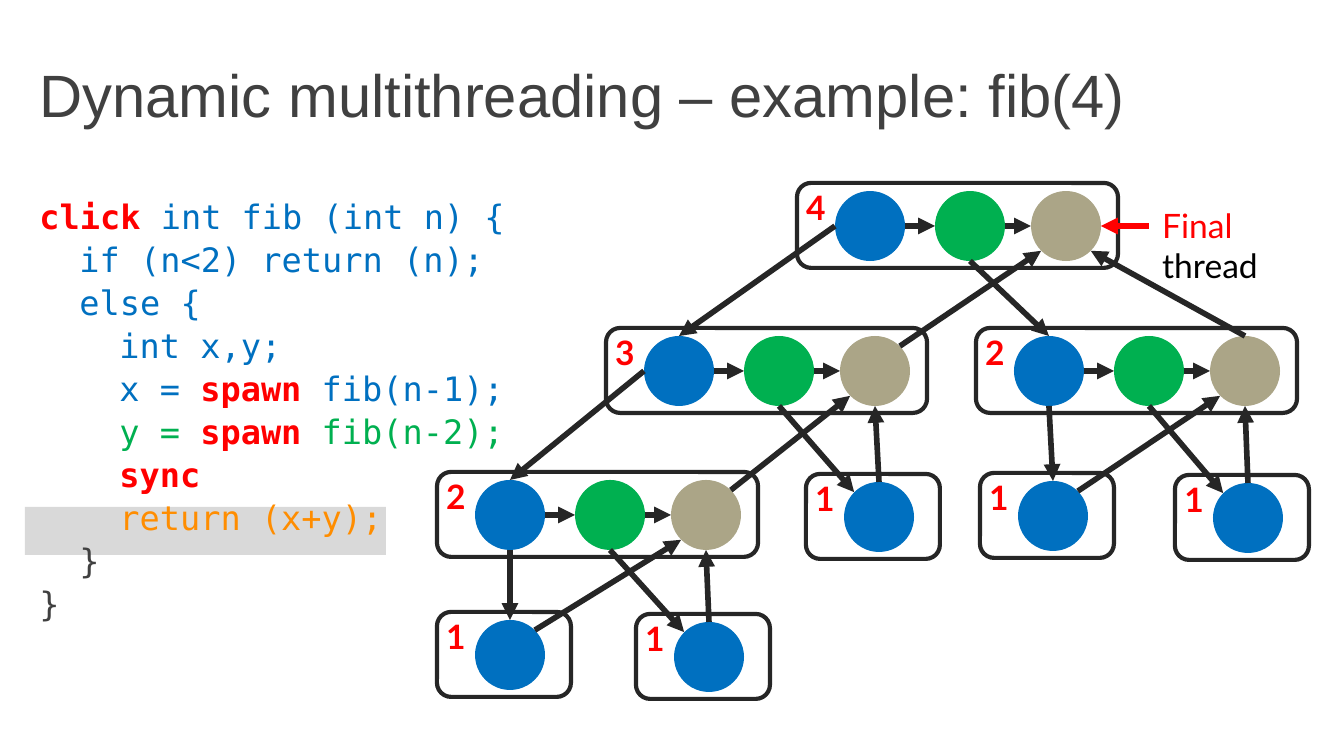
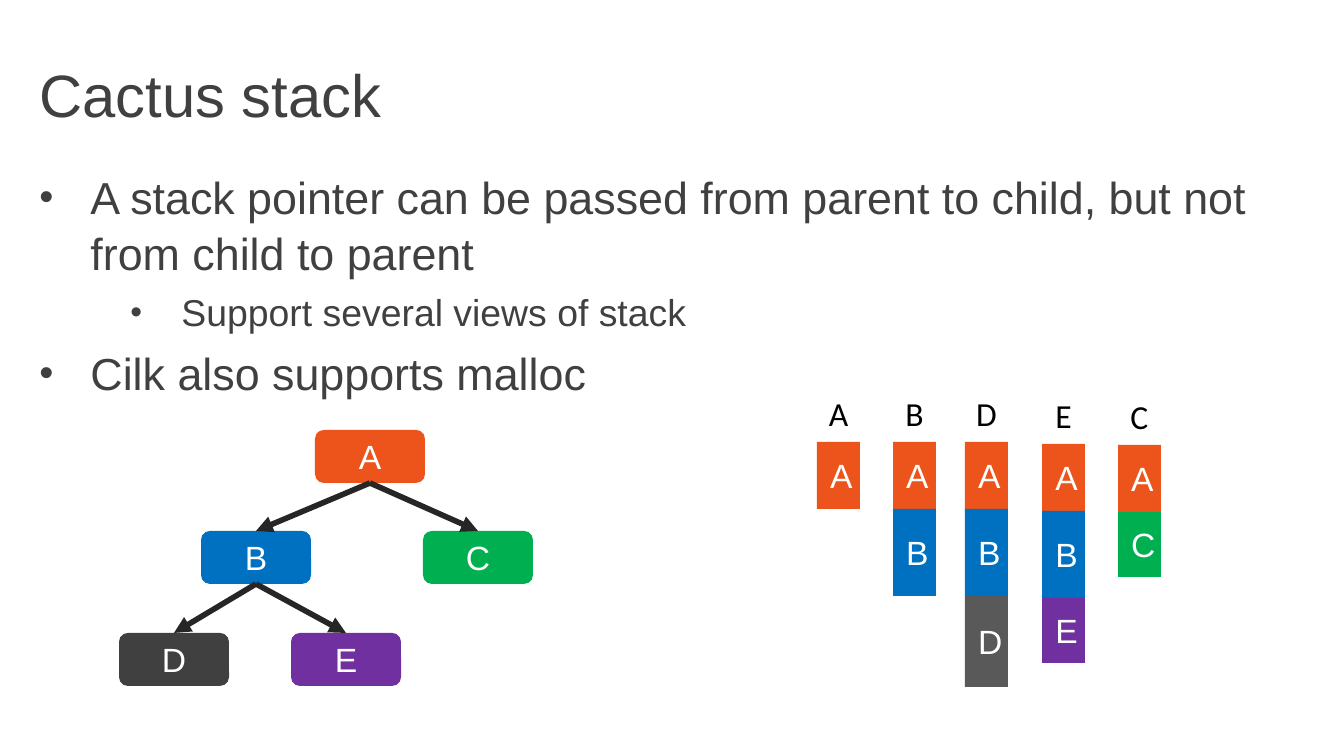
from lxml import etree
from pptx import Presentation
from pptx.dml.color import RGBColor
from pptx.enum.shapes import MSO_CONNECTOR, MSO_SHAPE
from pptx.enum.text import MSO_ANCHOR, MSO_AUTO_SIZE, PP_ALIGN
from pptx.oxml.ns import qn
from pptx.util import Pt

RECTANGLE = MSO_SHAPE.RECTANGLE
ROUNDED = MSO_SHAPE.ROUNDED_RECTANGLE
OVAL = MSO_SHAPE.OVAL
STRAIGHT = MSO_CONNECTOR.STRAIGHT
LEFT, CENTER = PP_ALIGN.LEFT, PP_ALIGN.CENTER
MIDDLE = MSO_ANCHOR.MIDDLE
NO_FIT = MSO_AUTO_SIZE.NONE

PIXEL = 914400 / 134.4
PAGE_WIDTH, PAGE_HEIGHT = 1344, 756

BLUE, GREEN, TAN = "0070C0", "00B050", "ABA587"
RED, AMBER, ORANGE, PURPLE = "FF0000", "FF8D00", "EC541B", "7030A0"
INK, DARK, GREY, SILVER = "404040", "262626", "595959", "D9D9D9"
BLACK, WHITE = "000000", "FFFFFF"

CODE_INDENT = 40
CODE = [
    (0, [("click ", RED), ("int fib (int n) {", BLUE)]),
    (1, [("if (n<2) return (n);", BLUE)]),
    (1, [("else {", BLUE)]),
    (2, [("int x,y;", BLUE)]),
    (2, [("x = ", BLUE), ("spawn ", RED), ("fib(n-1);", BLUE)]),
    (2, [("y = ", GREEN), ("spawn ", RED), ("fib(n-2);", GREEN)]),
    (2, [("sync", RED)]),
    (2, [("return (x+y);", AMBER)]),
    (1, [("}", INK)]),
    (0, [("}", INK)]),
]

CALLS = {
    "root": (797, 183, "4"),
    "left": (606, 328, "3"),
    "right": (976, 328, "2"),
    "inner": (437, 472, "2"),
    "inner one": (437, 612, "1"),
    "inner zero": (636, 614, "1"),
    "left one": (806, 474, "1"),
    "right one": (980, 473, "1"),
    "right zero": (1175, 475, "1"),
}
SPAWNS = [
    ("root", "left", "right"),
    ("left", "inner", "left one"),
    ("inner", "inner one", "inner zero"),
    ("right", "right one", "right zero"),
]
THREADS = [(38, BLUE), (138, GREEN), (234, TAN)]

SITES = {
    "top": (0, -1), "bottom": (0, 1), "left": (-1, 0), "right": (1, 0),
    "upper right": (0.71, -0.71), "upper left": (-0.71, -0.71),
    "lower left": (-0.71, 0.71), "lower right": (0.71, 0.71),
}

POINTS = [
    (0, "A stack pointer can be passed from parent to child, "
        "but not from child to parent"),
    (1, "Support several views of stack"),
    (0, "Cilk also supports malloc"),
]
POINT_STYLES = [(24, 51), (20, 142)]
HANGING = 51

TREE = {
    "A": (315, 430, ORANGE), "B": (201, 531, BLUE), "C": (423, 531, GREEN),
    "D": (119, 633, INK), "E": (291, 633, PURPLE),
}
BRANCHES = ["AB", "AC", "BD", "BE"]
SEGMENTS = {
    "A": (67, ORANGE), "B": (87, BLUE), "C": (65, GREEN),
    "D": (91, GREY), "E": (65, PURPLE),
}
STACKS = [(817, 442, "A"), (893, 442, "AB"), (965, 442, "ABD"),
          (1042, 444, "ABE"), (1118, 445, "AC")]


def px(length):
    return round(length * PIXEL)


def rgb(value):
    return RGBColor.from_string(value)


def style(paragraph, face, size, color, bold=False):
    paragraph.font.name = face
    paragraph.font.size = Pt(size)
    paragraph.font.bold = bold
    paragraph.font.color.rgb = rgb(color)


def place(shape, left, top, width, height):
    shape.left, shape.top = px(left), px(top)
    shape.width, shape.height = px(width), px(height)


def add_page(deck, title, body_box):
    page = deck.slides.add_slide(deck.slide_layouts[1])
    heading, body = page.placeholders
    place(heading, 26, 31, 1301, 126)
    heading.text_frame.text = title
    heading.text_frame.auto_size = NO_FIT
    heading.text_frame.vertical_anchor = MIDDLE
    paragraph = heading.text_frame.paragraphs[0]
    paragraph.alignment = LEFT
    style(paragraph, "Arial", 32, INK)
    place(body, *body_box)
    body.text_frame.auto_size = NO_FIT
    return page, body.text_frame


def add_line(frame, index):
    return frame.add_paragraph() if index else frame.paragraphs[0]


def set_indent(paragraph, margin, hanging=0, bullet=None):
    properties = paragraph._p.get_or_add_pPr()
    properties.set("marL", str(px(margin)))
    properties.set("indent", str(-px(hanging)))
    if bullet:
        etree.SubElement(properties, qn("a:buSzPct")).set("val", "90000")
        etree.SubElement(properties, qn("a:buChar")).set("char", bullet)
    else:
        etree.SubElement(properties, qn("a:buNone"))


def add_block(page, kind, box, fill=None, outline=None, text=None):
    block = page.shapes.add_shape(kind, *map(px, box))
    block.shadow.inherit = False
    if fill:
        block.fill.solid()
        block.fill.fore_color.rgb = rgb(fill)
    else:
        block.fill.background()
    if outline:
        block.line.color.rgb = rgb(outline)
        block.line.width = Pt(2.25)
    else:
        block.line.fill.background()
    if text:
        block.text_frame.text = text
        block.text_frame.vertical_anchor = MIDDLE
        paragraph = block.text_frame.paragraphs[0]
        paragraph.alignment = CENTER
        style(paragraph, "Arial", 18, WHITE)
    return block


def add_label(page, box, text, face, color, bold=False, align=LEFT, wrap=False):
    label = page.shapes.add_textbox(*map(px, box))
    label.text_frame.word_wrap = wrap
    label.text_frame.text = text
    paragraph = label.text_frame.paragraphs[0]
    paragraph.alignment = align
    style(paragraph, face, 18, color, bold)
    return paragraph


def site(shape, name):
    across, down = SITES[name]
    return (round(shape.left + shape.width * (1 + across) / 2),
            round(shape.top + shape.height * (1 + down) / 2))


def add_arrow(page, start, end, color=DARK):
    arrow = page.shapes.add_connector(STRAIGHT, *start, *end)
    arrow.line.color.rgb = rgb(color)
    arrow.line.width = Pt(3)
    line = arrow.line._get_or_add_ln()
    etree.SubElement(line, qn("a:tailEnd")).set("type", "triangle")
    etree.SubElement(arrow._element.spPr, qn("a:effectLst"))


def link(page, source, source_site, target, target_site):
    add_arrow(page, site(source, source_site), site(target, target_site))


def write_code(frame):
    for index, (depth, spans) in enumerate(CODE):
        paragraph = add_line(frame, index)
        paragraph.line_spacing = 0.9
        set_indent(paragraph, depth * CODE_INDENT)
        style(paragraph, "DejaVu Sans Mono", 18, INK)
        for text, color in spans:
            span = paragraph.add_run()
            span.text = text
            span.font.color.rgb = rgb(color)
            span.font.bold = color == RED


def add_call(page, left, top, number):
    leaf = number == "1"
    add_block(page, ROUNDED, (left, top, 134 if leaf else 321, 85), outline=DARK)
    threads = [add_block(page, OVAL, (left + shift, top + 8, 70, 70), color)
               for shift, color in THREADS[:1 if leaf else 3]]
    for before, after in zip(threads, threads[1:]):
        link(page, before, "right", after, "left")
    add_label(page, (left - 4, top - 3, 46, 54), number, "Lato", RED, True)
    return threads


def build_fib_page(deck):
    page, body = add_page(deck, "Dynamic multithreading – example: fib(4)",
                          (26, 194, 664, 499))
    highlight = add_block(page, RECTANGLE, (25, 507, 361, 48), SILVER)
    page.shapes._spTree.insert(2, highlight._element)
    write_code(body)
    calls = {name: add_call(page, *call) for name, call in CALLS.items()}
    for parent, first, second in SPAWNS:
        start, middle, final = calls[parent]
        one, two = calls[first], calls[second]
        small = len(one) == 1
        link(page, start, "bottom" if small else "left", one[0], "top")
        link(page, middle, "bottom", two[0],
             "upper left" if len(two) == 1 else "top")
        link(page, one[-1], "upper right", final, "lower left")
        link(page, two[-1], "top", final,
             "bottom" if len(two) == 1 else "lower right")
    note = add_label(page, (1149, 198, 135, 94), "", "Lato", BLACK, wrap=True)
    for text, color in [("Final", RED), (" thread", BLACK)]:
        span = note.add_run()
        span.text = text
        span.font.color.rgb = rgb(color)
    add_arrow(page, (px(1149), px(226)), site(calls["root"][-1], "right"), RED)


def build_stack_page(deck):
    page, body = add_page(deck, "Cactus stack", (26, 160, 1301, 243))
    for index, (level, text) in enumerate(POINTS):
        size, margin = POINT_STYLES[level]
        paragraph = add_line(body, index)
        paragraph.text = text
        paragraph.level = level
        paragraph.line_spacing = 1.05
        set_indent(paragraph, margin, HANGING, "•")
        style(paragraph, "Arial", size, INK)
    nodes = {name: add_block(page, ROUNDED, (left, top, 110, 53), color, text=name)
             for name, (left, top, color) in TREE.items()}
    for parent, child in BRANCHES:
        link(page, nodes[parent], "bottom", nodes[child], "top")
    for left, top, names in STACKS:
        add_label(page, (left - 2, top - 56, 47, 54), names[-1], "Calibri",
                  BLACK, align=CENTER)
        for name in names:
            height, color = SEGMENTS[name]
            add_block(page, RECTANGLE, (left, top, 43, height), color, text=name)
            top += height


def main():
    deck = Presentation()
    deck.slide_width, deck.slide_height = px(PAGE_WIDTH), px(PAGE_HEIGHT)
    build_fib_page(deck)
    build_stack_page(deck)
    deck.save("out.pptx")


main()
